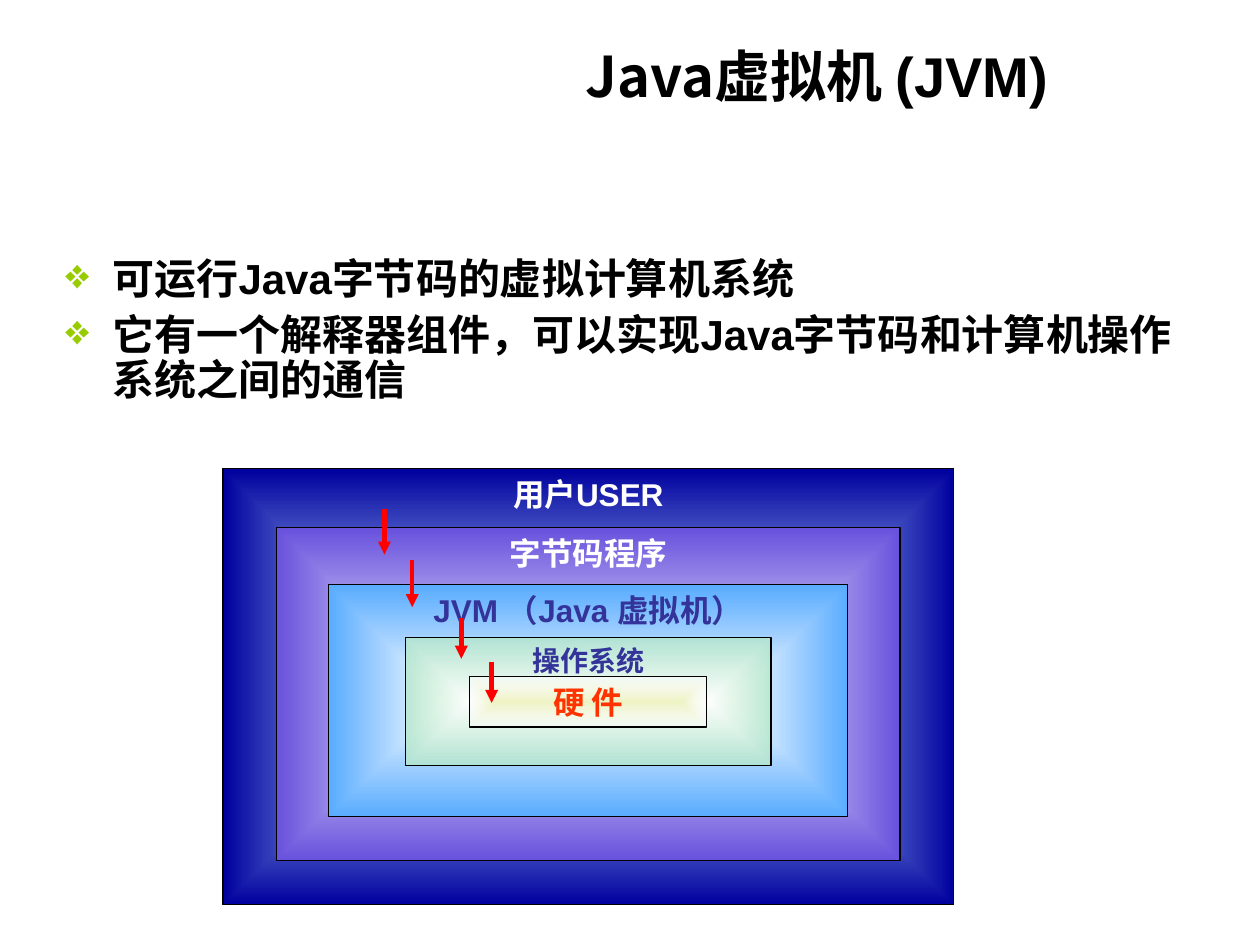
from lxml import etree
from pptx import Presentation, util as u
from pptx.dml.color import RGBColor
from pptx.enum import shapes, text
from pptx.oxml import parse_xml
from pptx.oxml.ns import nsdecls, qn

THEME = dict(
    latin="Arial", cjk="Noto Sans CJK SC",
    ink="000000", bullet="99CC00", arrow="FF0000",
    white="FFFFFF", navy="333399", red="FF3300",
    title=32, body=24, layer=18, small=16,
)

HEADING = [("Java虚拟机 ", "cjk"), ("(JVM)", "latin")]
POINTS = [
    [("可运行", "cjk"), ("Java", "latin"), ("字节码的虚拟计算机系统", "cjk")],
    [("它有一个解释器组件，可以实现", "cjk"), ("Java", "latin"),
     ("字节码和计算机操作系统之间的通信", "cjk")],
]
# label, top, width, height, text colour, text size, (centre, opacity), (edge, opacity)
LAYERS = [
    ("用户USER", 9.45, 14.73, 8.79, "white", "layer", ("99CCFF", 60), ("00009E", 100)),
    ("字节码程序", 10.64, 12.57, 6.71, "white", "layer", ("FFFFFF", 100), ("6851DD", 100)),
    ("JVM （Java 虚拟机）", 11.79, 10.46, 4.67, "navy", "layer", ("FFFFFF", 100), ("59ACFF", 100)),
    ("操作系统", 12.85, 7.37, 2.59, "navy", "small", ("FFFFFF", 100), ("B5E9C5", 72)),
    ("硬 件", 13.64, 4.78, 1.02, "red", "layer", ("EFF4C4", 100), ("FFFFFF", 54)),
]
LAYER_AXIS = 11.86
# x, top, bottom
ARROWS = [(7.75, 10.26, 11.18), (8.31, 11.28, 12.24), (9.3, 12.45, 13.28), (9.91, 13.34, 14.17)]


def colour(name):
    return RGBColor.from_string(THEME[name])


def style(paragraph, size, ink):
    paragraph.font.size = u.Pt(THEME[size])
    paragraph.font.bold = True
    paragraph.font.color.rgb = colour(ink)


def add_runs(paragraph, pieces):
    for words, face in pieces:
        run = paragraph.add_run()
        run.text = words
        run.font.name = THEME[face]
        east = etree.SubElement(run._r.get_or_add_rPr(), qn("a:ea"))
        east.set("typeface", THEME["cjk"])


def add_bullet(paragraph):
    props = paragraph._p.get_or_add_pPr()
    props.set("marL", str(u.Cm(0.95)))
    props.set("indent", str(u.Cm(-0.95)))
    tint = etree.SubElement(props, qn("a:buClr"))
    etree.SubElement(tint, qn("a:srgbClr")).set("val", THEME["bullet"])
    etree.SubElement(props, qn("a:buChar")).set("char", "❖")


def fill_from_centre(shape, *stops):
    shape.fill.background()
    marks = "".join(
        f'<a:gs pos="{place}"><a:srgbClr val="{tint}"><a:alpha val="{opacity * 1000}"/>'
        f"</a:srgbClr></a:gs>"
        for place, (tint, opacity) in zip((0, 100000), stops))
    gradient = parse_xml(
        f'<a:gradFill {nsdecls("a")} rotWithShape="1"><a:gsLst>{marks}</a:gsLst>'
        '<a:path path="rect"><a:fillToRect l="50000" t="50000" r="50000" b="50000"/></a:path>'
        "</a:gradFill>")
    props = shape._element.spPr
    props.replace(props.find(qn("a:noFill")), gradient)


def place_title(slide):
    title = slide.shapes.title
    title.left, title.top, title.width, title.height = map(u.Cm, (10.16, 0.71, 11.23, 1.6))
    frame = title.text_frame
    frame.auto_size = text.MSO_AUTO_SIZE.NONE
    frame.vertical_anchor = text.MSO_ANCHOR.MIDDLE
    paragraph = frame.paragraphs[0]
    paragraph.alignment = text.PP_ALIGN.RIGHT
    style(paragraph, "title", "ink")
    add_runs(paragraph, HEADING)


def add_points(slide):
    frame = slide.shapes.add_textbox(*map(u.Cm, (1.07, 5.08, 22.86, 3.2))).text_frame
    frame.word_wrap = True
    for index, pieces in enumerate(POINTS):
        paragraph = frame.add_paragraph() if index else frame.paragraphs[0]
        add_bullet(paragraph)
        paragraph.line_spacing = 0.9
        if index:
            paragraph.space_before = u.Pt(6)
        style(paragraph, "body", "ink")
        add_runs(paragraph, pieces)


def add_layer(slide, label, top, width, height, ink, size, centre, edge):
    layer = slide.shapes.add_shape(
        shapes.MSO_SHAPE.RECTANGLE,
        *map(u.Cm, (LAYER_AXIS - width / 2, top, width, height)))
    layer.shadow.inherit = False
    fill_from_centre(layer, centre, edge)
    layer.line.color.rgb = colour("ink")
    layer.line.width = u.Pt(0.75)
    frame = layer.text_frame
    frame.vertical_anchor = text.MSO_ANCHOR.TOP
    paragraph = frame.paragraphs[0]
    paragraph.alignment = text.PP_ALIGN.CENTER
    style(paragraph, size, ink)
    add_runs(paragraph, [(label, "latin")])


def add_arrow(slide, x, top, bottom):
    arrow = slide.shapes.add_connector(
        shapes.MSO_CONNECTOR.STRAIGHT, *map(u.Cm, (x, top, x, bottom)))
    arrow.line.color.rgb = colour("arrow")
    arrow.line.width = u.Pt(2.5)
    etree.SubElement(arrow.line._get_or_add_ln(), qn("a:tailEnd")).set("type", "triangle")
    etree.SubElement(arrow._element.spPr, qn("a:effectLst"))


def main():
    deck = Presentation()
    deck.slide_width, deck.slide_height = u.Cm(25.4), u.Cm(19.05)
    slide = deck.slides.add_slide(deck.slide_layouts.get_by_name("Title Only"))
    place_title(slide)
    add_points(slide)
    for layer in LAYERS:
        add_layer(slide, *layer)
    for arrow in ARROWS:
        add_arrow(slide, *arrow)
    deck.save("out.pptx")


if __name__ == "__main__":
    main()
